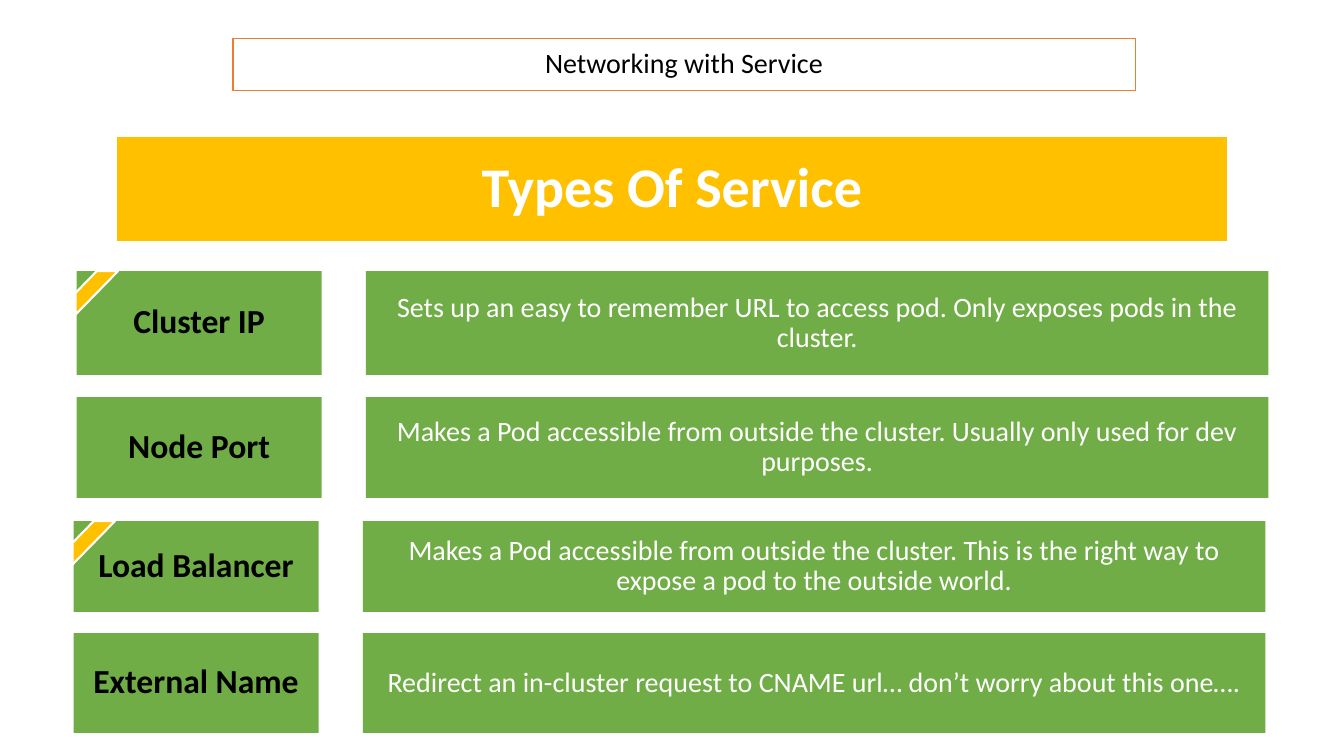
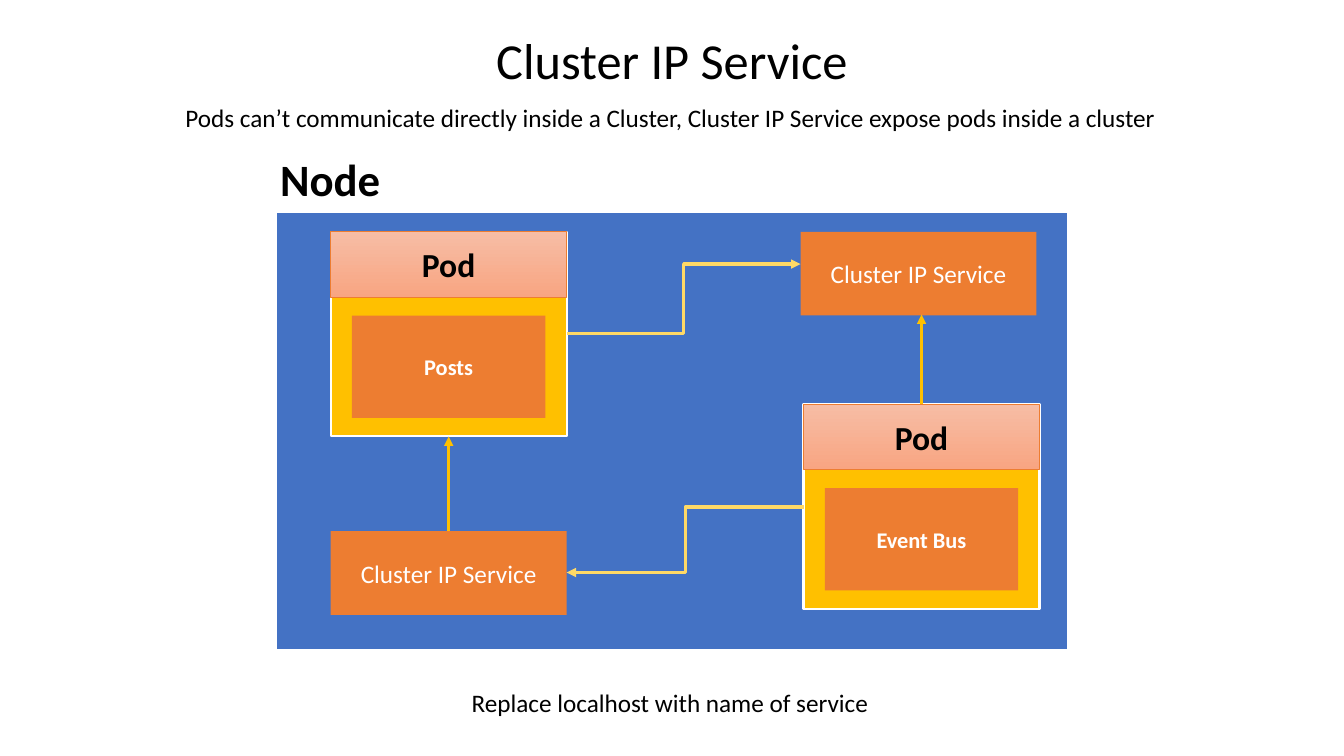
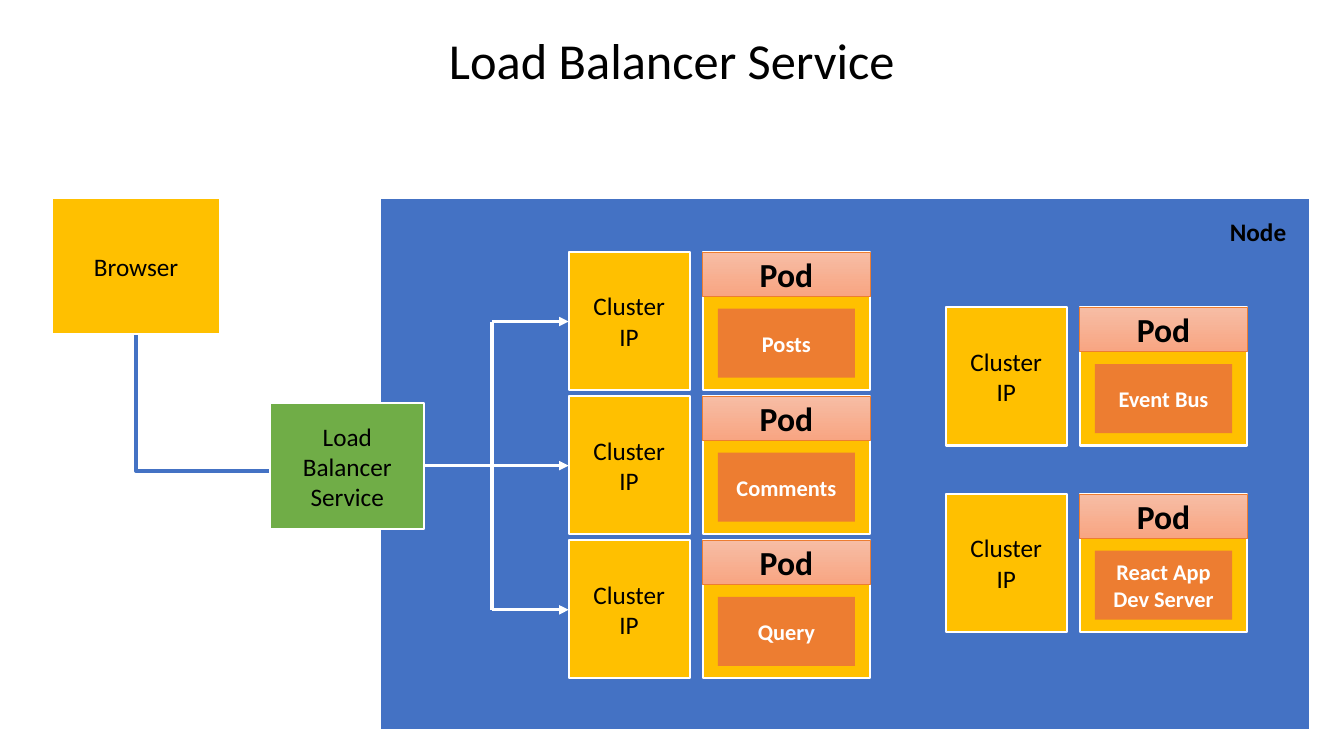
"""Build three slides on cluster networking services."""
from lxml.etree import SubElement
from pptx import Presentation
from pptx.dml.color import RGBColor
from pptx.enum.shapes import MSO_CONNECTOR as LINK, MSO_SHAPE as SHAPE
from pptx.enum.text import MSO_ANCHOR as ANCHOR, MSO_AUTO_SIZE as FIT, PP_ALIGN as ALIGN
from pptx.oxml.ns import qn
from pptx.util import Inches, Pt

FONT = "Calibri"
COLORS = {
    "black": "000000", "white": "FFFFFF", "gold": "FFC000", "sand": "FFD966",
    "green": "70AD47", "blue": "4472C4", "orange": "ED7D31",
    "peach": "F7BDA5", "salmon": "F8A582",
}
RGB = {name: RGBColor.from_string(value) for name, value in COLORS.items()}


def box(shapes, at, text="", size=18, ink="black", bold=False, fill=None,
        line=None, weight=1.5, spacing=1.0, kind=SHAPE.RECTANGLE):
    """Add a shape, a label or the slide's title, with its text."""
    place = [Inches(length) for length in at]
    if kind == "title":
        shape = shapes.title
        shape.left, shape.top, shape.width, shape.height = place
    elif kind == "label":
        shape = shapes.add_textbox(*place)
    else:
        shape = shapes.add_shape(kind, *place)
        shape.shadow.inherit = False
    if isinstance(fill, tuple):
        shape.fill.gradient()
        shape.fill.gradient_angle = 270
        for stop, color in zip(shape.fill.gradient_stops, fill):
            stop.color.rgb = RGB[color]
    elif fill:
        shape.fill.solid()
        shape.fill.fore_color.rgb = RGB[fill]
    if line:
        shape.line.color.rgb = RGB[line]
        shape.line.width = Pt(weight)
    else:
        shape.line.fill.background()
    frame = shape.text_frame
    frame.word_wrap = kind != "label"
    frame.auto_size = FIT.SHAPE_TO_FIT_TEXT if kind == "label" else FIT.NONE
    frame.vertical_anchor = ANCHOR.TOP if kind == "label" else ANCHOR.MIDDLE
    for number, words in enumerate(text.split("\n") if text else []):
        paragraph = frame.add_paragraph() if number else frame.paragraphs[0]
        paragraph.alignment = ALIGN.LEFT if kind == "label" else ALIGN.CENTER
        paragraph.line_spacing = spacing
        run = paragraph.add_run()
        run.text = words
        run.font.name, run.font.size, run.font.bold = FONT, Pt(size), bold
        run.font.color.rgb = RGB[ink]


def link(shapes, start, end, color, weight=2.25, arrow="tailEnd",
         kind=LINK.STRAIGHT, preset=None):
    """Add a connector, with an arrowhead at the named end."""
    connector = shapes.add_connector(kind, *[Inches(length) for length in start + end])
    connector.line.color.rgb = RGB[color]
    connector.line.width = Pt(weight)
    properties = connector.element.spPr
    if preset:
        properties.find(qn("a:prstGeom")).set("prst", preset)
    if arrow:
        SubElement(properties.find(qn("a:ln")), qn(f"a:{arrow}"), type="triangle")
    SubElement(properties, qn("a:effectLst"))


deck = Presentation()
deck.slide_width, deck.slide_height = Inches(13.33), Inches(7.5)
types, cluster, balancer = [
    deck.slides.add_slide(deck.slide_layouts[5]).shapes for _ in range(3)
]

box(types, (1.15, 1.35, 11.03, 1.05), "Types Of Service", 40, "white", True,
    "gold", "white", spacing=0.9, kind="title")
for shapes, title in [(cluster, "Cluster IP Service"), (balancer, "Load Balancer Service")]:
    box(shapes, (4.06, 0.25, 5.21, 0.75), title, 36, spacing=0.9, kind="title")

box(types, (2.31, 0.38, 8.95, 0.52), "Networking with Service", 20,
    fill="white", line="orange", weight=1, spacing=0.9)
services = [
    ("Cluster IP", 0.76, 2.69, 1.03, True,
     "Sets up an easy to remember URL to access pod. Only exposes pods in the cluster."),
    ("Node Port", 0.76, 3.94, 1, False,
     "Makes a Pod accessible from outside the cluster. Usually only used for dev purposes."),
    ("Load Balancer", 0.73, 5.17, 0.9, True,
     "Makes a Pod accessible from outside the cluster. "
     "This is the right way to expose a pod to the outside world."),
    ("External Name", 0.73, 6.28, 0.99, False,
     "Redirect an in-cluster request to CNAME url… don’t worry about this one…."),
]
for service, left, top, height, marked, purpose in services:
    box(types, (left, top, 2.43, height), service, 24, bold=True, fill="green", spacing=0.9)
    box(types, (left + 2.87, top, 8.95, height), purpose, 20, "white",
        fill="green", spacing=0.9)
    if marked:
        box(types, (left - 0.01, top, 0.42, 0.43), fill="gold", line="white",
            kind=SHAPE.DIAGONAL_STRIPE)

box(cluster, (2.74, 2.1, 7.85, 4.35), fill="blue", line="white")
box(balancer, (3.77, 1.96, 9.22, 5.28), fill="blue", line="white")

large, small = (2.34, 2.03), (1.66, 1.37)
rows = [2.5 + 1.43 * row for row in range(3)]
pods = [
    (cluster, "Event Bus", 7.97, 4.01, large),
    (cluster, "Posts", 3.28, 2.3, large),
    (balancer, "Posts", 6.97, rows[0], small),
    (balancer, "Comments", 6.97, rows[1], small),
    (balancer, "Query", 6.97, rows[2], small),
    (balancer, "Event Bus", 10.71, 3.05, small),
    (balancer, "React App Dev Server", 10.71, 4.9, small),
]
for shapes, app, left, top, (width, height) in pods:
    pod = shapes.add_group_shape().shapes
    box(pod, (left, top, width, height), fill="gold", line="white")
    box(pod, (left, top, width, 0.32 * height), "Pod", 24, bold=True,
        fill=("peach", "salmon"), line="orange", weight=0.5)
    box(pod, (left + 0.09 * width, top + 0.41 * height, 0.82 * width, 0.5 * height),
        app, 16, "white", True, "orange")
    if shapes is balancer:
        box(pod, (left - 1.33, top, 1.2, height), "Cluster\nIP", fill="gold", line="white")

for left, top in [(7.94, 2.3), (3.28, 5.27)]:
    box(cluster, (left, top, 2.34, 0.83), "Cluster IP Service", ink="white", fill="orange")
link(cluster, (5.62, 3.31), (7.94, 2.62), "sand", kind=LINK.ELBOW)
link(cluster, (7.97, 5.03), (5.62, 5.68), "sand", kind=LINK.ELBOW)
link(cluster, (4.45, 5.27), (4.45, 4.33), "gold")
link(cluster, (9.14, 4.01), (9.14, 3.12), "gold")
box(cluster, (2.68, 1.46, 1.21, 0.64), "Node", 32, bold=True, kind="label")
box(cluster, (1.74, 0.97, 9.85, 0.4),
    "Pods can’t communicate directly inside a Cluster, "
    "Cluster IP Service expose pods inside a cluster", kind="label")
box(cluster, (4.58, 6.77, 4.18, 0.4), "Replace localhost with name of service", kind="label")

box(balancer, (12.1, 2.1, 0.76, 0.4), "Node", bold=True, kind="label")
box(balancer, (0.52, 1.96, 1.66, 1.36), "Browser", fill="gold", line="white")
link(balancer, (3.02, 4.67), (1.35, 3.32), "blue", 3, "headEnd", LINK.ELBOW, "bentConnector2")
box(balancer, (2.68, 4, 1.53, 1.25), "Load Balancer Service", fill="green", line="white")
middles = [top + 0.69 for top in rows]
link(balancer, (4.22, middles[1]), (4.88, middles[1]), "white", arrow=None)
link(balancer, (4.88, middles[0]), (4.88, middles[2]), "white", arrow=None)
for middle in middles:
    link(balancer, (4.88, middle), (5.64, middle), "white")

deck.save("out.pptx")
